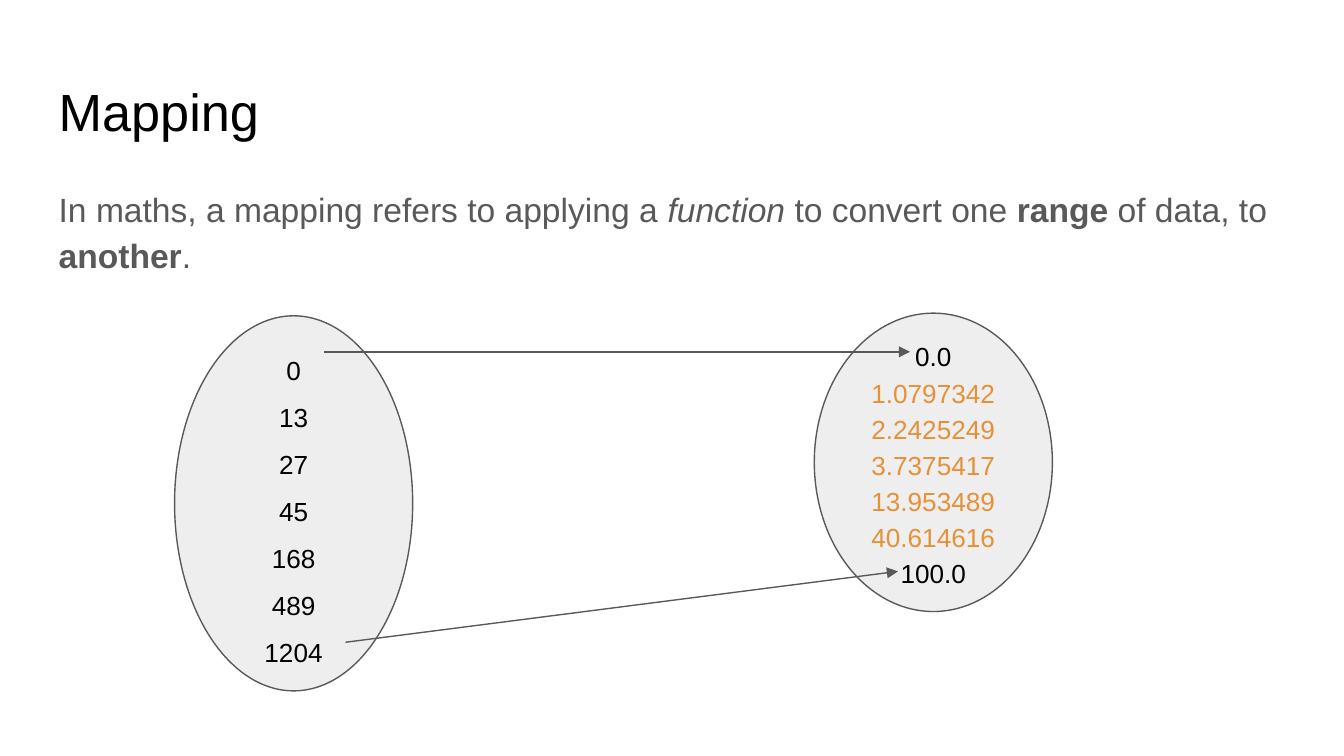
from dataclasses import dataclass

from lxml import etree
from pptx import Presentation
from pptx import util as u
from pptx.dml.color import RGBColor
from pptx.enum import shapes, text
from pptx.oxml import ns


@dataclass(frozen=True)
class Theme:
    font: str = "Arial"
    ink: str = "000000"
    grey: str = "595959"
    accent: str = "E69138"
    oval: str = "EEEEEE"
    title_size: int = 28
    body_size: int = 18
    value_size: int = 14
    line_width: float = 0.75
    inset: float = 0.25


THEME = Theme()


def write(frame, lines, *, size, color=THEME.ink, spacing=1.0, after=0,
          align=text.PP_ALIGN.LEFT, anchor=text.MSO_ANCHOR.TOP):
    frame.word_wrap = True
    frame.vertical_anchor = anchor
    frame.margin_left = frame.margin_right = u.Cm(THEME.inset)
    frame.margin_top = frame.margin_bottom = u.Cm(THEME.inset)
    for index, spans in enumerate(lines):
        para = frame.add_paragraph() if index else frame.paragraphs[0]
        para.alignment = align
        para.line_spacing = spacing
        para.space_after = u.Pt(after)
        for words, style in spans:
            span = para.add_run()
            span.text = words
            span.font.name = THEME.font
            span.font.size = u.Pt(size)
            span.font.bold = style.get("bold", False)
            span.font.italic = style.get("italic", False)
            span.font.color.rgb = RGBColor.from_string(style.get("color", color))


def add_text(page, box, lines, **style):
    label = page.shapes.add_textbox(*map(u.Cm, box))
    write(label.text_frame, lines, **style)


def add_outline(line):
    line.color.rgb = RGBColor.from_string(THEME.grey)
    line.width = u.Pt(THEME.line_width)


def add_set(page, box, lines, spacing):
    oval = page.shapes.add_shape(shapes.MSO_SHAPE.OVAL, *map(u.Cm, box))
    oval.shadow.inherit = False
    oval.fill.solid()
    oval.fill.fore_color.rgb = RGBColor.from_string(THEME.oval)
    add_outline(oval.line)
    write(oval.text_frame, lines, size=THEME.value_size, spacing=spacing,
          align=text.PP_ALIGN.CENTER, anchor=text.MSO_ANCHOR.MIDDLE)


def add_arrow(page, start, end):
    arrow = page.shapes.add_connector(
        shapes.MSO_CONNECTOR.STRAIGHT, *map(u.Cm, (*start, *end)))
    add_outline(arrow.line)
    outline = arrow.line._get_or_add_ln()
    etree.SubElement(outline, ns.qn("a:tailEnd"), type="triangle")
    etree.SubElement(arrow._element.spPr, ns.qn("a:effectLst"))


def add_heading(page, box):
    add_text(page, box, [[("Mapping", {})]], size=THEME.title_size)


def add_definition(page, box):
    spans = [
        ("In maths, a mapping refers to applying a ", {}),
        ("function", {"italic": True}),
        (" to convert one ", {}),
        ("range", {"bold": True}),
        (" of data, to ", {}),
        ("another", {"bold": True}),
        (".", {}),
    ]
    add_text(page, box, [spans], size=THEME.body_size, color=THEME.grey,
             spacing=1.15, after=16)


def add_mapping(page, source_box, target_box):
    inputs = ["0", "13", "27", "45", "168", "489", "1204"]
    outputs = ["0.0", "1.0797342", "2.2425249", "3.7375417",
               "13.953489", "40.614616", "100.0"]
    ends = (outputs[0], outputs[-1])
    add_set(page, source_box, [[(value, {})] for value in inputs], 1.5)
    add_set(page, target_box,
            [[(value, {"color": THEME.ink if value in ends else THEME.accent})]
             for value in outputs], 1.15)
    source_left, source_top = source_box[:2]
    target_left, target_top = target_box[:2]
    add_arrow(page, (source_left + 2.82, source_top + 0.68),
              (target_left + 1.81, target_top + 0.73))
    add_arrow(page, (source_left + 3.23, source_top + 6.17),
              (target_left + 1.58, target_top + 4.88))


def main():
    deck = Presentation()
    deck.slide_width, deck.slide_height = u.Cm(25.4), u.Cm(14.29)
    page = deck.slides.add_slide(deck.slide_layouts[6])
    add_heading(page, (0.86, 1.24, 23.67, 1.6))
    add_definition(page, (0.86, 3.2, 23.67, 2.34))
    add_mapping(page, (3.3, 5.97, 4.5, 7.09), (15.39, 5.92, 4.5, 5.64))
    deck.save("out.pptx")


if __name__ == "__main__":
    main()
